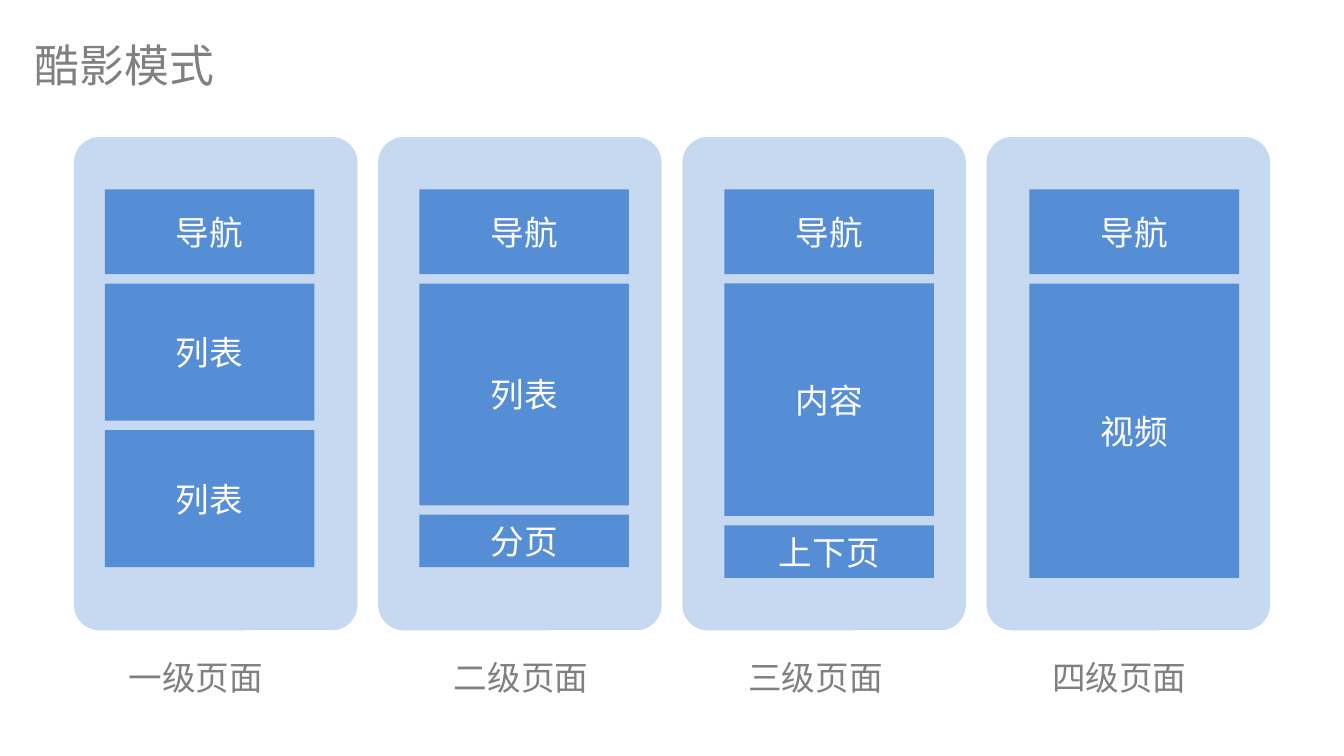
from dataclasses import dataclass

from lxml import etree
from pptx import Presentation
from pptx import util as u
from pptx.dml.color import RGBColor
from pptx.enum import shapes, text
from pptx.oxml import ns

FONT = "Noto Sans CJK SC"
GREY = RGBColor(0x80, 0x80, 0x80)
WHITE = RGBColor(0xFF, 0xFF, 0xFF)
PALE_BLUE = RGBColor(0xC6, 0xD9, 0xF1)
BLUE = RGBColor(0x55, 0x8E, 0xD5)

# Shared geometry, in inches
FIRST_CARD_LEFT, LAST_CARD_LEFT = 0.55, 7.34
CARD_TOP, CARD_WIDTH, CARD_HEIGHT = 1.02, 2.11, 3.67
BLOCK_TOP, BLOCK_WIDTH, BLOCK_GAP = 1.41, 1.56, 0.07
CAPTION_TOP, CAPTION_WIDTH, CAPTION_HEIGHT = 4.84, 1.33, 0.4


@dataclass(frozen=True)
class Block:
    label: str
    height: float


@dataclass(frozen=True)
class Page:
    caption: str
    caption_left: float
    block_left: float
    blocks: tuple[Block, ...]


NAVIGATION = Block("导航", 0.63)
PAGES = (
    Page("一级页面", 0.86, 0.78, (NAVIGATION, Block("列表", 1.02), Block("列表", 1.02))),
    Page("二级页面", 3.28, 3.12, (NAVIGATION, Block("列表", 1.65), Block("分页", 0.39))),
    Page("三级页面", 5.47, 5.39, (NAVIGATION, Block("内容", 1.73), Block("上下页", 0.39))),
    Page("四级页面", 7.73, 7.66, (NAVIGATION, Block("视频", 2.19))),
)
CARD_PITCH = (LAST_CARD_LEFT - FIRST_CARD_LEFT) / (len(PAGES) - 1)


def write(text_frame, words: str, size: int, color: RGBColor) -> None:
    text_frame.text = words
    run = text_frame.paragraphs[0].runs[0]
    run.font.size = u.Pt(size)
    run.font.color.rgb = color
    run.font.name = FONT
    # Chinese characters take the East Asian typeface
    etree.SubElement(run.font._element, ns.qn("a:ea"), typeface=FONT)


def add_label(slide, words: str, left: float, top: float, width: float,
              height: float, size: int) -> None:
    box = slide.shapes.add_textbox(
        u.Inches(left), u.Inches(top), u.Inches(width), u.Inches(height))
    box.text_frame.word_wrap = True
    write(box.text_frame, words, size, GREY)
    box.text_frame.auto_size = text.MSO_AUTO_SIZE.SHAPE_TO_FIT_TEXT


def add_panel(slide, kind: shapes.MSO_SHAPE, left: float, top: float,
              width: float, height: float, color: RGBColor):
    shape = slide.shapes.add_shape(
        kind, u.Inches(left), u.Inches(top), u.Inches(width), u.Inches(height))
    shape.shadow.inherit = False
    shape.fill.solid()
    shape.fill.fore_color.rgb = color
    shape.line.fill.background()
    return shape


def add_page(slide, page: Page, card_left: float) -> None:
    # Card
    card = add_panel(slide, shapes.MSO_SHAPE.ROUNDED_RECTANGLE, card_left,
                     CARD_TOP, CARD_WIDTH, CARD_HEIGHT, PALE_BLUE)
    card.adjustments[0] = 0.09

    # Stacked blocks
    top = BLOCK_TOP
    for block in page.blocks:
        shape = add_panel(slide, shapes.MSO_SHAPE.RECTANGLE, page.block_left,
                          top, BLOCK_WIDTH, block.height, BLUE)
        write(shape.text_frame, block.label, 18, WHITE)
        shape.text_frame.vertical_anchor = text.MSO_ANCHOR.MIDDLE
        shape.text_frame.paragraphs[0].alignment = text.PP_ALIGN.CENTER
        top += block.height + BLOCK_GAP

    # Caption below the card
    add_label(slide, page.caption, page.caption_left, CAPTION_TOP,
              CAPTION_WIDTH, CAPTION_HEIGHT, 18)


def main() -> None:
    # Widescreen slide, 16:9
    presentation = Presentation()
    presentation.slide_width = u.Inches(10)
    presentation.slide_height = u.Inches(10 * 9 / 16)
    slide = presentation.slides.add_slide(presentation.slide_layouts[6])

    add_label(slide, "酷影模式", 0.16, 0.23, 9.61, 0.5, 24)
    for index, page in enumerate(PAGES):
        add_page(slide, page, FIRST_CARD_LEFT + index * CARD_PITCH)

    presentation.save("out.pptx")


if __name__ == "__main__":
    main()
